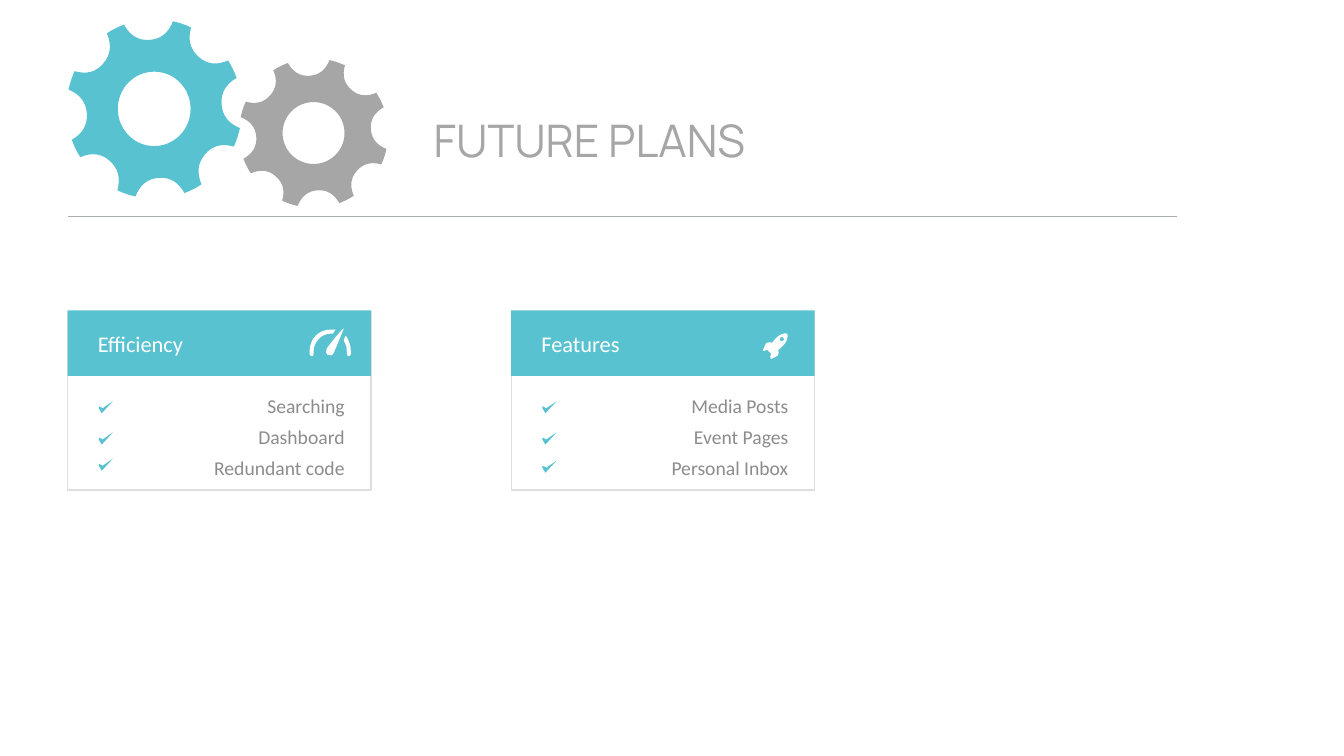
import math

import pptx
import pptx.util
from lxml import etree
from pptx.dml.color import RGBColor
from pptx.enum.shapes import MSO_CONNECTOR, MSO_SHAPE
from pptx.enum.text import MSO_ANCHOR, MSO_AUTO_SIZE, PP_ALIGN
from pptx.oxml.ns import qn

Inches = pptx.util.Inches
Pt = pptx.util.Pt

COLOURS = {name: RGBColor.from_string(value) for name, value in {
    "teal": "59C2D1", "grey": "A6A6A6", "rule": "A9AEB3",
    "border": "DCDEE0", "text": "8C8C8C", "white": "FFFFFF",
}.items()}


def add_outline(contours, colour, curved=True):
    """Fill closed contours in inches; curved ones list three points per cubic curve."""
    scaled = [[(round(x * 1000), round(y * 1000)) for x, y in contour] for contour in contours]
    builder = slide.shapes.build_freeform(*scaled[0][0], scale=Inches(1) / 1000)
    builder.add_line_segments(scaled[0][1:], close=not curved)
    for contour in scaled[1:]:
        builder.move_to(*contour[0])
        builder.add_line_segments(contour[1:], close=not curved)
    shape = builder.convert_to_shape()
    if curved:
        segments = list(shape._element.spPr.iter(qn("a:lnTo")))
        for i in range(0, len(segments), 3):
            cubic = etree.Element(qn("a:cubicBezTo"))
            segments[i].addprevious(cubic)
            for segment in segments[i:i + 3]:
                cubic.append(segment[0])
                segment.getparent().remove(segment)
    shape.shadow.inherit = False
    shape.fill.solid()
    shape.fill.fore_color.rgb = COLOURS[colour]
    shape.line.fill.background()


presentation = pptx.Presentation()
presentation.slide_width = Inches(13.33)
presentation.slide_height = Inches(7.5)
slide = presentation.slides.add_slide(presentation.slide_layouts[5])

# Title and rule
title = slide.shapes.title
title.left, title.top, title.width, title.height = map(Inches, (4.2, 1.07, 7.47, 0.64))
title.text_frame.text = "FUTURE PLANS"
title.text_frame.auto_size = MSO_AUTO_SIZE.SHAPE_TO_FIT_TEXT
title.text_frame.vertical_anchor = MSO_ANCHOR.TOP
paragraph = title.text_frame.paragraphs[0]
paragraph.alignment = PP_ALIGN.LEFT
paragraph.font.name = "Manrope"
paragraph.font.size = Pt(32)
paragraph.font.color.rgb = COLOURS["grey"]

rule = slide.shapes.add_connector(
    MSO_CONNECTOR.STRAIGHT, Inches(11.67), Inches(2.15), Inches(0.67), Inches(2.15))
rule.line.color.rgb = COLOURS["rule"]
rule.line.width = Pt(0.75)
etree.SubElement(rule._element.spPr, qn("a:effectLst"))

# Gears: eight equal notches and rounded teeth about a round hub, for a radius of one
HALF_NOTCH = [(0.94, -0.35), (0.96, -0.28), (0.835, -0.22), (0.77, -0.13), (0.77, 0)]
NOTCH = HALF_NOTCH + [(x, -y) for x, y in HALF_NOTCH[-2::-1]]
QUARTER_HUB = [(0.415, 0), (0.415, 0.23), (0.23, 0.415)]


def turned(points, count, offset):
    """Repeat points around the origin, the first copy turned by offset degrees."""
    ring = []
    for i in range(count):
        angle = math.radians(360 / count * i + offset)
        ring += [(x * math.cos(angle) - y * math.sin(angle),
                  x * math.sin(angle) + y * math.cos(angle)) for x, y in points]
    return ring


rim = turned(NOTCH, 8, -3.9)
hub = turned(QUARTER_HUB, 4, 0)
gear = [rim[1:] + rim[:2], hub + hub[:1]]
for centre_x, centre_y, radius_x, radius_y, colour in [
        (1.53, 1.08, 0.87, 0.89, "teal"), (3.11, 1.32, 0.74, 0.74, "grey")]:
    add_outline([[(centre_x + radius_x * x, centre_y + radius_y * y) for x, y in contour]
                 for contour in gear], colour)

# Header icons
GAUGE = [
    [(3.43, 3.33), (3.42, 3.35), (3.41, 3.36), (3.41, 3.38), (3.43, 3.41), (3.44, 3.44),
     (3.44, 3.49), (3.44, 3.49), (3.44, 3.5), (3.44, 3.51), (3.44, 3.54), (3.48, 3.54),
     (3.48, 3.51), (3.48, 3.5), (3.48, 3.49), (3.48, 3.49), (3.48, 3.43), (3.46, 3.37),
     (3.43, 3.33)],
    [(3.28, 3.31), (3.29, 3.31), (3.3, 3.31), (3.3, 3.31), (3.31, 3.3), (3.32, 3.28),
     (3.33, 3.27), (3.32, 3.27), (3.3, 3.27), (3.28, 3.27), (3.16, 3.27), (3.07, 3.36),
     (3.07, 3.49), (3.07, 3.49), (3.07, 3.5), (3.07, 3.51), (3.07, 3.54), (3.12, 3.54),
     (3.11, 3.51), (3.11, 3.5), (3.11, 3.49), (3.11, 3.49), (3.11, 3.39), (3.19, 3.31),
     (3.28, 3.31)],
    [(3.24, 3.46), (3.23, 3.49), (3.23, 3.51), (3.25, 3.52), (3.27, 3.53), (3.3, 3.53),
     (3.31, 3.5), (3.32, 3.48), (3.41, 3.26), (3.41, 3.26), (3.4, 3.25), (3.25, 3.44),
     (3.24, 3.46)],
]
ROCKET = [
    [(7.74, 3.38), (7.73, 3.37), (7.73, 3.36), (7.74, 3.35), (7.75, 3.34), (7.76, 3.34),
     (7.77, 3.35), (7.78, 3.36), (7.78, 3.37), (7.77, 3.38), (7.76, 3.39), (7.75, 3.39),
     (7.74, 3.38)],
    [(7.72, 3.47), (7.72, 3.47), (7.83, 3.4), (7.81, 3.31), (7.73, 3.29), (7.66, 3.4),
     (7.66, 3.4), (7.59, 3.39), (7.6, 3.4), (7.57, 3.47), (7.56, 3.48), (7.57, 3.49),
     (7.58, 3.48), (7.59, 3.48), (7.61, 3.47), (7.61, 3.47), (7.61, 3.47), (7.65, 3.51),
     (7.65, 3.51), (7.65, 3.51), (7.64, 3.53), (7.64, 3.54), (7.64, 3.55), (7.64, 3.56),
     (7.65, 3.56), (7.72, 3.53), (7.73, 3.53), (7.72, 3.47)],
]
CHECK = [(0, 0.07), (0.03, 0.12), (0.14, 0), (0.04, 0.07), (0, 0.05)]

# Cards: left edge, heading, items, check mark tops, icon
CARDS = [
    (0.67, "Efficiency", ["Searching", "Dashboard", "Redundant code"],
     [3.98, 4.29, 4.55], GAUGE),
    (5.07, "Features", ["Media Posts", "Event Pages", "Personal Inbox"],
     [3.98, 4.29, 4.57], ROCKET),
]
for left, heading, items, check_tops, icon in CARDS:
    body, header = [
        slide.shapes.add_shape(MSO_SHAPE.RECTANGLE, Inches(left), Inches(top),
                               Inches(3.01), Inches(height))
        for top, height in [(3.09, 1.77), (3.08, 0.65)]]
    for shape, colour in [(body, "white"), (header, "teal")]:
        shape.shadow.inherit = False
        shape.fill.solid()
        shape.fill.fore_color.rgb = COLOURS[colour]
    body.line.color.rgb = COLOURS["border"]
    body.line.width = Pt(1)
    header.line.fill.background()

    frame = header.text_frame
    frame.text = heading
    frame.margin_left = Inches(0.3)
    frame.vertical_anchor = MSO_ANCHOR.MIDDLE
    paragraph = frame.paragraphs[0]
    paragraph.alignment = PP_ALIGN.LEFT
    paragraph.font.name = "Calibri"
    paragraph.font.size = Pt(16)
    paragraph.font.color.rgb = COLOURS["white"]

    frame = slide.shapes.add_textbox(
        Inches(left + 0.68), Inches(3.84), Inches(2.07), Inches(1.46)).text_frame
    frame.word_wrap = True
    frame.margin_left = frame.margin_right = frame.margin_top = 0
    frame.text = "\n".join(items)
    for paragraph in frame.paragraphs:
        paragraph.alignment = PP_ALIGN.RIGHT
        paragraph.line_spacing = Pt(22)
        paragraph.font.name = "Calibri"
        paragraph.font.size = Pt(14)
        paragraph.font.color.rgb = COLOURS["text"]

    for top in check_tops:
        add_outline([[(left + 0.31 + x, top + y) for x, y in CHECK]], "teal", curved=False)
    add_outline(icon, "white")

presentation.save("out.pptx")
